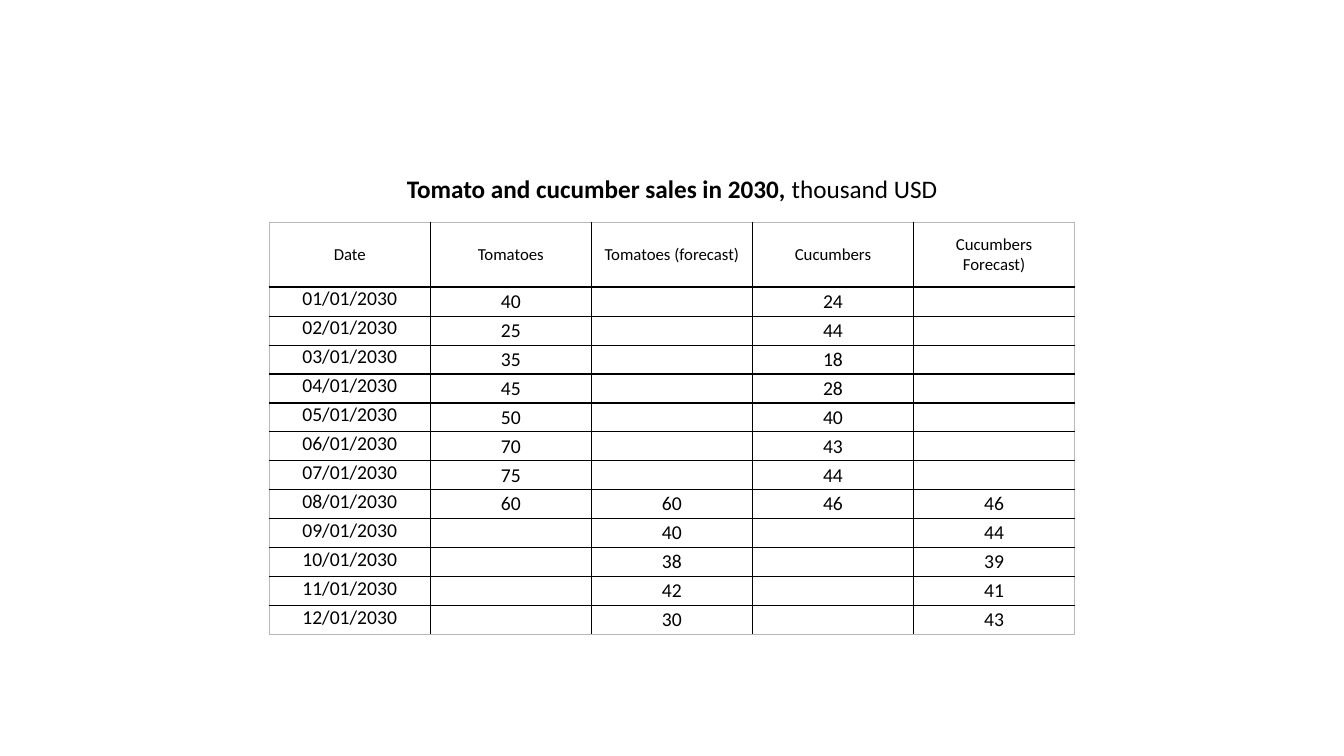
from lxml import etree
from pptx import Presentation
from pptx.dml.color import RGBColor
from pptx.enum import text
from pptx.oxml import ns
from pptx import util as u

TITLE = [("Tomato and cucumber sales in 2030, ", True), ("thousand USD", False)]
HEADERS = ["Date", "Tomatoes", "Tomatoes (forecast)", "Cucumbers", "Cucumbers Forecast)"]
TOMATOES = [40, 25, 35, 45, 50, 70, 75, 60]
TOMATOES_FORECAST = [60, 40, 38, 42, 30]
CUCUMBERS = [24, 44, 18, 28, 40, 43, 44, 46]
CUCUMBERS_FORECAST = [46, 44, 39, 41, 43]
MONTHS = 12

BLACK = RGBColor(0x00, 0x00, 0x00)
WHITE = RGBColor(0xFF, 0xFF, 0xFF)
GRAY = RGBColor(0xB8, 0xB8, 0xB8)
FONT = "Calibri"

SLIDE_WIDTH, SLIDE_HEIGHT = u.Inches(13.33), u.Inches(7.5)
TABLE_LEFT, TABLE_TOP = u.Inches(2.67), u.Inches(2.21)
TABLE_WIDTH, TABLE_HEIGHT = u.Inches(7.99), u.Inches(4.04)
HEADER_HEIGHT = u.Inches(0.64)
DATE_BOTTOM_MARGIN = u.Inches(0.05)


def table_rows():
    """Actual sales fill the first months, forecasts the last ones."""
    rows = [HEADERS]
    for month in range(MONTHS):
        row = [f"{month + 1:02}/01/2030"]
        for actual, forecast in ((TOMATOES, TOMATOES_FORECAST),
                                 (CUCUMBERS, CUCUMBERS_FORECAST)):
            forecast_index = month - (MONTHS - len(forecast))
            row.append(str(actual[month]) if month < len(actual) else "")
            row.append(str(forecast[forecast_index]) if forecast_index >= 0 else "")
        rows.append(row)
    return rows


def format_run(run, size, bold=False):
    run.font.name = FONT
    run.font.size = u.Pt(size)
    run.font.bold = bold
    run.font.color.rgb = BLACK


def add_border(cell, side, color, width):
    properties = cell._tc.get_or_add_tcPr()
    line = etree.SubElement(properties, ns.qn(f"a:ln{side}"), w=str(u.Pt(width)))
    fill = etree.SubElement(line, ns.qn("a:solidFill"))
    etree.SubElement(fill, ns.qn("a:srgbClr"), val=str(color))


def format_cell(cell, row, column, last_row, last_column):
    size = 14 if row else 12
    if row:
        cell.margin_left = cell.margin_right = cell.margin_top = 0
        cell.margin_bottom = 0 if column else DATE_BOTTOM_MARGIN
    cell.vertical_anchor = text.MSO_ANCHOR.MIDDLE

    outer_sides = {"L": column == 0, "R": column == last_column,
                   "T": row == 0, "B": row == last_row}
    for side, outer in outer_sides.items():
        below_header = (row, side) in ((0, "B"), (1, "T"))
        if outer:
            add_border(cell, side, GRAY, 0.5)
        else:
            add_border(cell, side, BLACK, 1.5 if below_header else 1)
    cell.fill.solid()
    cell.fill.fore_color.rgb = WHITE

    paragraph = cell.text_frame.paragraphs[0]
    paragraph.alignment = text.PP_ALIGN.CENTER
    for run in paragraph.runs:
        format_run(run, size)
    if not paragraph.runs:
        # An empty cell takes its line height from the paragraph end mark.
        etree.SubElement(paragraph._p, ns.qn("a:endParaRPr"), sz=str(size * 100))


def add_title(slide):
    title = slide.shapes.title
    title.left, title.top = u.Inches(2.63), u.Inches(1.67)
    title.width, title.height = u.Inches(8.07), u.Inches(0.4)
    frame = title.text_frame
    frame.word_wrap = True
    frame.auto_size = text.MSO_AUTO_SIZE.NONE
    frame.vertical_anchor = text.MSO_ANCHOR.MIDDLE
    paragraph = frame.paragraphs[0]
    paragraph.alignment = text.PP_ALIGN.CENTER
    for words, bold in TITLE:
        run = paragraph.add_run()
        run.text = words
        format_run(run, 18, bold)


def add_sales_table(slide):
    rows = table_rows()
    table = slide.shapes.add_table(len(rows), len(HEADERS), TABLE_LEFT, TABLE_TOP,
                                   TABLE_WIDTH, TABLE_HEIGHT).table
    table.horz_banding = False
    for row_index, values in enumerate(rows):
        month_height = (TABLE_HEIGHT - HEADER_HEIGHT) // MONTHS
        table.rows[row_index].height = month_height if row_index else HEADER_HEIGHT
        for column_index, value in enumerate(values):
            cell = table.cell(row_index, column_index)
            cell.text_frame.text = value
            format_cell(cell, row_index, column_index, len(rows) - 1, len(HEADERS) - 1)


def main():
    presentation = Presentation()
    presentation.slide_width, presentation.slide_height = SLIDE_WIDTH, SLIDE_HEIGHT
    title_only = presentation.slide_layouts.get_by_name("Title Only")
    slide = presentation.slides.add_slide(title_only)
    add_sales_table(slide)
    add_title(slide)
    presentation.save("out.pptx")


if __name__ == "__main__":
    main()
